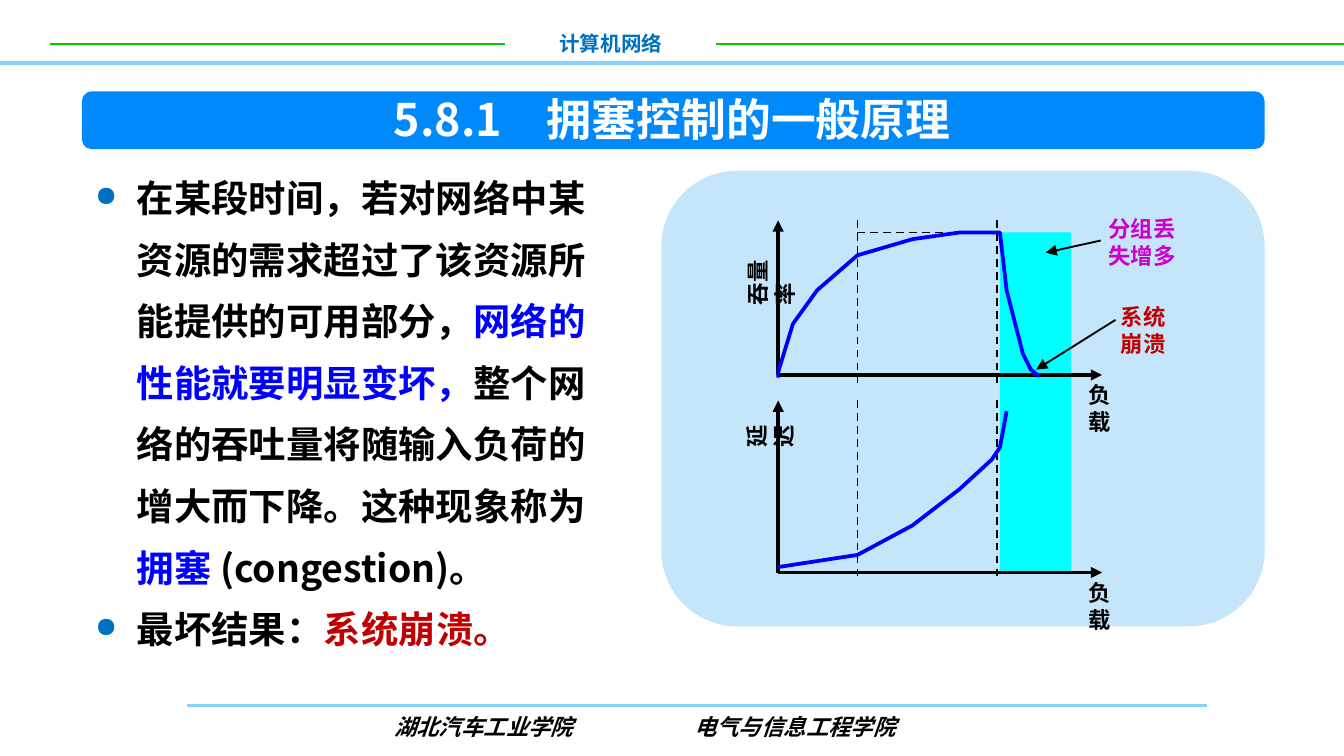
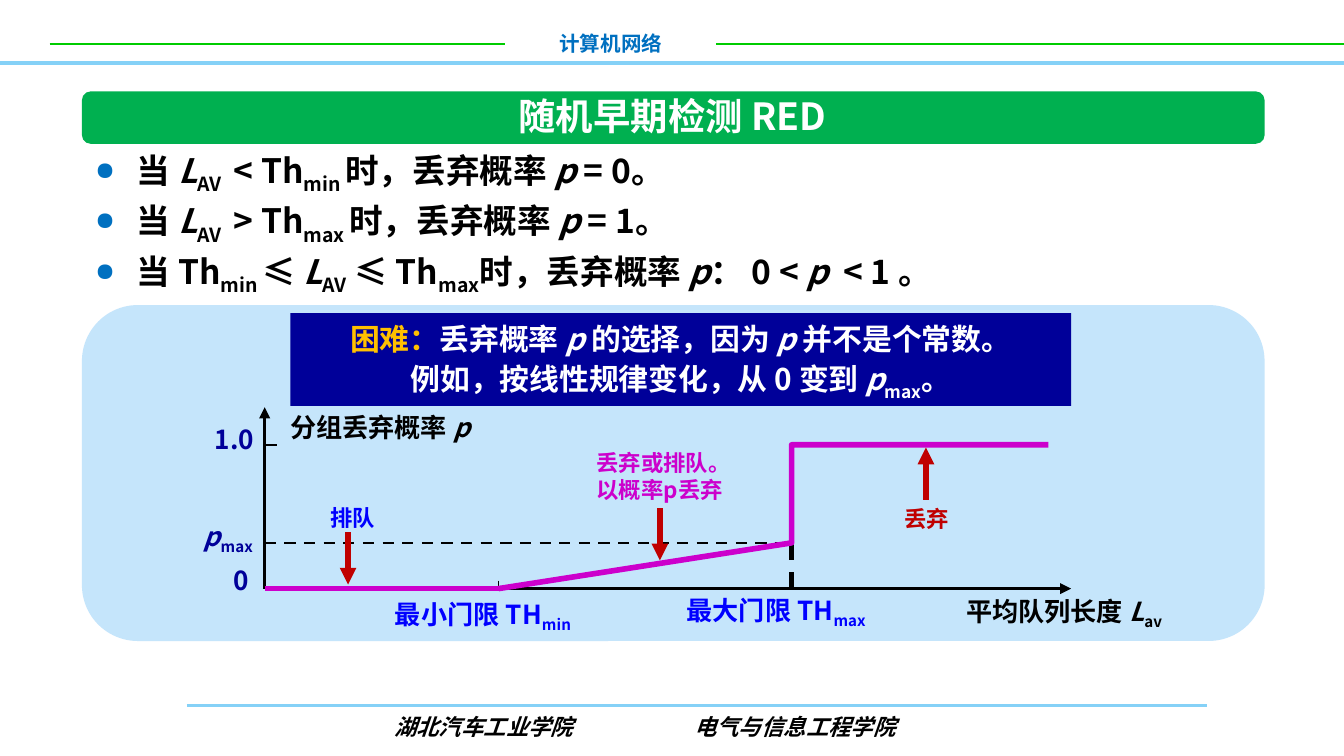
from dataclasses import dataclass

import pptx
import pptx.dml.color
import pptx.enum.dml
import pptx.enum.shapes
import pptx.enum.text
import pptx.oxml.ns
import pptx.util
from lxml import etree

PX = 9144
ALIGN = pptx.enum.text.PP_ALIGN
ANCHOR = pptx.enum.text.MSO_ANCHOR
SHAPE = pptx.enum.shapes.MSO_SHAPE
qn = pptx.oxml.ns.qn


@dataclass(frozen=True)
class Theme:
    font: str = "Noto Sans CJK SC"
    footer_font: str = "Arial"
    black: str = "000000"
    white: str = "FFFFFF"
    blue: str = "0000FF"
    red: str = "C00000"
    magenta: str = "CC00CC"
    navy: str = "000099"
    gold: str = "FFC000"
    accent: str = "0070C0"
    rule: str = "85D1F7"
    green_rule: str = "00CC00"
    panel: str = "C5E5FB"
    blue_band: str = "0089FA"
    green_band: str = "00B050"
    overload: str = "00FFFF"
    header: int = 11
    small: int = 12
    label: int = 14
    note: int = 16
    rules: int = 18
    body: int = 20
    title: int = 24


THEME = Theme()


@dataclass(frozen=True)
class Run:
    text: str
    color: str = THEME.black
    italic: bool = False
    subscript: bool = False
    tracking: int = 0


def italic(text, color=THEME.black):
    return Run(text, color, italic=True)


def sub(text, color=THEME.black):
    return Run(text, color, subscript=True)


def px(*lengths):
    return [pptx.util.Emu(length * PX) for length in lengths]


def rgb(color):
    return pptx.dml.color.RGBColor.from_string(color)


def add_element(parent, tag, **attributes):
    return etree.SubElement(parent, qn(tag), attributes)


def add_run(paragraph, item, size, font=THEME.font):
    run = paragraph.add_run()
    run.text = item.text
    run.font.size = pptx.util.Pt(size)
    run.font.bold = True
    run.font.italic = item.italic
    run.font.color.rgb = rgb(item.color)
    run.font.name = font
    properties = run._r.get_or_add_rPr()
    add_element(properties, "a:ea", typeface=THEME.font)
    if item.subscript:
        properties.set("baseline", "-25000")
    if item.tracking:
        properties.set("spc", str(item.tracking * 100))


def fill_text(shape, paragraphs, size, align=ALIGN.LEFT, wrap=True, anchor=ANCHOR.TOP,
              spacing=None, bullet=False, font=THEME.font):
    frame = shape.text_frame
    frame.auto_size = pptx.enum.text.MSO_AUTO_SIZE.NONE
    frame.word_wrap = wrap
    frame.vertical_anchor = anchor
    for index, runs in enumerate(paragraphs):
        paragraph = frame.add_paragraph() if index else frame.paragraphs[0]
        if bullet:
            add_bullet(paragraph)
        paragraph.alignment = align
        if spacing:
            paragraph.line_spacing = spacing
        for item in runs:
            add_run(paragraph, item, size, font)


def add_bullet(paragraph):
    properties = paragraph._p.get_or_add_pPr()
    properties.set("marL", str(31 * PX))
    properties.set("indent", str(-31 * PX))
    color = add_element(properties, "a:buClr")
    add_element(color, "a:srgbClr", val=THEME.accent)
    add_element(properties, "a:buSzPct", val="75000")
    add_element(properties, "a:buChar", char="●")


def add_text(slide, box, paragraphs, size, rotation=0, **options):
    shape = slide.shapes.add_textbox(*px(*box))
    shape.rotation = rotation
    fill_text(shape, paragraphs, size, **options)
    return shape


def add_label(slide, box, text, color=THEME.black, size=THEME.small, **options):
    return add_text(slide, box, [[Run(text, color)]], size, **options)


def add_block(slide, kind, box, color):
    shape = slide.shapes.add_shape(kind, *px(*box))
    shape.shadow.inherit = False
    shape.fill.solid()
    shape.fill.fore_color.rgb = rgb(color)
    shape.line.fill.background()
    return shape


def add_line(slide, start, end, color=THEME.black, width=1, dash=False, arrow=False):
    connector = slide.shapes.add_connector(
        pptx.enum.shapes.MSO_CONNECTOR.STRAIGHT, *px(*start, *end))
    connector.line.color.rgb = rgb(color)
    connector.line.width = pptx.util.Pt(width)
    if dash:
        connector.line.dash_style = pptx.enum.dml.MSO_LINE.DASH
    properties = connector.element.spPr
    if arrow:
        add_element(properties.get_or_add_ln(), "a:tailEnd", type="triangle")
    add_element(properties, "a:effectLst")
    return connector


def add_curve(slide, points, color, width):
    points = [px(*point) for point in points]
    builder = slide.shapes.build_freeform(*points[0])
    builder.add_line_segments(points[1:], close=False)
    shape = builder.convert_to_shape()
    shape.shadow.inherit = False
    shape.fill.background()
    shape.line.color.rgb = rgb(color)
    shape.line.width = pptx.util.Pt(width)


def add_axes(slide, origin, right, top, width):
    add_line(slide, origin, (origin[0], top), width=width, arrow=True)
    add_line(slide, origin, (right, origin[1]), width=width, arrow=True)


def add_title(slide, text, size, band_height, color, box):
    band = add_block(slide, SHAPE.ROUNDED_RECTANGLE, (61, 68, 880, band_height), color)
    title = slide.shapes.title
    band.element.addnext(title.element)
    title.left, title.top, title.width, title.height = px(*box)
    fill_text(title, [[Run(text, THEME.white)]], size, align=ALIGN.CENTER,
              anchor=ANCHOR.MIDDLE)


def add_frame_to_layout(slide):
    parts = [
        add_line(slide, (139, 525), (898, 525), THEME.rule, 1.5),
        add_line(slide, (533, 33), (1000, 33), THEME.green_rule),
        add_line(slide, (0, 47), (1000, 47), THEME.rule, 2),
        add_text(slide, (102, 526, 756, 30),
                 [[italic("湖北汽车工业学院"), Run(" ", italic=True, tracking=62),
                   italic("电气与信息工程学院")]],
                 THEME.small, align=ALIGN.CENTER, font=THEME.footer_font),
        add_label(slide, (376, 18, 157, 29), "计算机网络", THEME.accent,
                  THEME.header, align=ALIGN.CENTER),
        add_line(slide, (37, 33), (376, 33), THEME.green_rule),
    ]
    tree = slide.slide_layout.element.cSld.spTree
    for part in parts:
        tree.append(part.element)


def add_load_plots(slide):
    left, knee, limit, right = 579, 638, 742, 820
    add_block(slide, SHAPE.RECTANGLE, (744, 173, 53, 253), THEME.overload)
    for top, bottom, dash_bottom in ((164, 279, 289), (298, 426, 432)):
        add_axes(slide, (left, bottom), right, top, 2)
        for x in (knee, limit):
            add_line(slide, (x, top), (x, dash_bottom), dash=True)
        add_label(slide, (800, bottom, 51, 28), "负载")
    add_line(slide, (knee, 173), (744, 173), dash=True)
    throughput = [(left, 281), (left, 277), (590, 241), (608, 216), (knee, 190),
                  (679, 178), (714, 173), (744, 173), (749, 216), (761, 263),
                  (767, 275), (773, 280)]
    delay = [(left, 422), (knee, 413), (679, 391), (714, 364), (738, 342),
             (744, 333), (749, 306)]
    for points in (throughput, delay):
        add_curve(slide, points, THEME.blue, 2)
    add_label(slide, (531, 190, 65, 29), "吞量率", rotation=270)
    add_label(slide, (538, 304, 49, 29), "延迟", rotation=270)
    add_text(slide, (824, 221, 62, 50),
             [[Run("系统", THEME.red)], [Run("崩溃", THEME.red)]], THEME.small)
    add_line(slide, (830, 238), (771, 275), arrow=True)
    add_label(slide, (815, 155, 76, 48), "分组丢失增多", THEME.magenta)
    add_line(slide, (819, 179), (778, 188), arrow=True)


def build_congestion(slide):
    add_block(slide, SHAPE.ROUNDED_RECTANGLE, (492, 127, 449, 339), THEME.panel)
    add_title(slide, "5.8.1　拥塞控制的一般原理", THEME.title, 43, THEME.blue_band,
              (270, 63, 460, 50))
    add_text(slide, (61, 113, 389, 380), [
        [Run("在某段时间，若对网络中某资源的需求超过了该资源所能提供的可用部分，"),
         Run("网络的性能就要明显变坏，", THEME.blue),
         Run("整个网络的吞吐量将随输入负荷的增大而下降。这种现象称为"),
         Run("拥塞 ", THEME.blue), Run("(congestion)。")],
        [Run("最坏结果："), Run("系统崩溃。", THEME.red)],
    ], THEME.body, spacing=pptx.util.Pt(33), bullet=True)
    add_load_plots(slide)


def threshold_rule(sign, bound, probability):
    return [Run("当 "), italic("L"), sub("AV "), Run(f" {sign} Th"), sub(f"{bound} "),
            Run("时，丢弃概率 "), italic("p"), Run(f" = {probability}。")]


def add_drop_plot(slide):
    left, low, high = 197, 371, 589
    zero, maximum, one = 438, 404, 331
    add_axes(slide, (left, zero), 797, 303, 1.5)
    for box, name, bound in (((284, 440, 158, 34), "最小门限 TH", "min"),
                             ((501, 437, 161, 34), "最大门限 TH", "max")):
        add_text(slide, box, [[Run(name, THEME.blue), sub(bound, THEME.blue)]],
                 THEME.label, wrap=False)
    add_text(slide, (709, 438, 173, 34),
             [[Run("平均队列长度 "), italic("L"), sub("av")]], THEME.label)
    add_text(slide, (206, 301, 164, 34), [[Run("分组丢弃概率 "), italic("p")]],
             THEME.label)
    add_line(slide, (high, maximum), (high, zero), width=2.25, dash=True)
    add_line(slide, (low, 432), (low, zero), width=0.75)
    add_line(slide, (left, one), (206, one), width=0.75)
    for box, runs in (
            ((149, 310, 50, 34), [Run("1.0", THEME.navy)]),
            ((165, 415, 30, 31), [Run("0", THEME.navy)]),
            ((137, 382, 61, 34), [italic("p", THEME.navy), sub("max", THEME.navy)])):
        add_text(slide, box, [runs], THEME.label, align=ALIGN.RIGHT, wrap=False)
    add_line(slide, (left, maximum), (high, maximum), width=1.5, dash=True)
    add_curve(slide, [(low, zero), (high, maximum), (high, one), (780, one)],
              THEME.magenta, 3)
    add_line(slide, (left, zero), (low, zero), THEME.magenta, 3)
    add_label(slide, (236, 370, 76, 30), "排队", THEME.blue)
    add_label(slide, (434, 329, 117, 50), "丢弃或排队。以概率p丢弃", THEME.magenta)
    add_label(slide, (663, 371, 117, 30), "丢弃", THEME.red)
    for x, start, end in ((259, 396, 435), (491, 378, 417), (689, 372, 333)):
        add_line(slide, (x, start), (x, end), THEME.red, 3, arrow=True)


def build_red(slide):
    add_block(slide, SHAPE.ROUNDED_RECTANGLE, (61, 227, 880, 250), THEME.panel)
    add_title(slide, "随机早期检测 RED", THEME.body, 39, THEME.green_band,
              (370, 64, 261, 44))
    add_text(slide, (61, 103, 895, 124), [
        threshold_rule("<", "min", 0),
        threshold_rule(">", "max", 1),
        [Run("当 Th"), sub("min "), Run("≤ "), italic("L"), sub("AV"), Run(" ≤ Th"),
         sub("max"), Run("时，丢弃概率 "), italic("p"), Run("： 0 < "), italic("p "),
         Run(" < 1 。")],
    ], THEME.rules, spacing=pptx.util.Pt(27), bullet=True)
    note = add_block(slide, SHAPE.RECTANGLE, (216, 233, 581, 69), THEME.navy)
    white = THEME.white
    fill_text(note, [
        [Run("困难：", THEME.gold), Run("丢弃概率 ", white), italic("p ", white),
         Run("的选择，因为 ", white), italic("p ", white), Run("并不是个常数。", white)],
        [Run("例如，按线性规律变化，从 0 变到 ", white), italic("p", white),
         sub("max", white), Run("。", white)],
    ], THEME.note, align=ALIGN.CENTER, anchor=ANCHOR.MIDDLE, spacing=1.1)
    add_drop_plot(slide)


def main():
    presentation = pptx.Presentation()
    presentation.slide_width = pptx.util.Inches(10)
    presentation.slide_height = presentation.slide_width * 9 // 16
    layout = presentation.slide_layouts.get_by_name("Title Only")
    for index, build in enumerate((build_congestion, build_red)):
        slide = presentation.slides.add_slide(layout)
        if index == 0:
            add_frame_to_layout(slide)
        build(slide)
    presentation.save("out.pptx")


if __name__ == "__main__":
    main()
